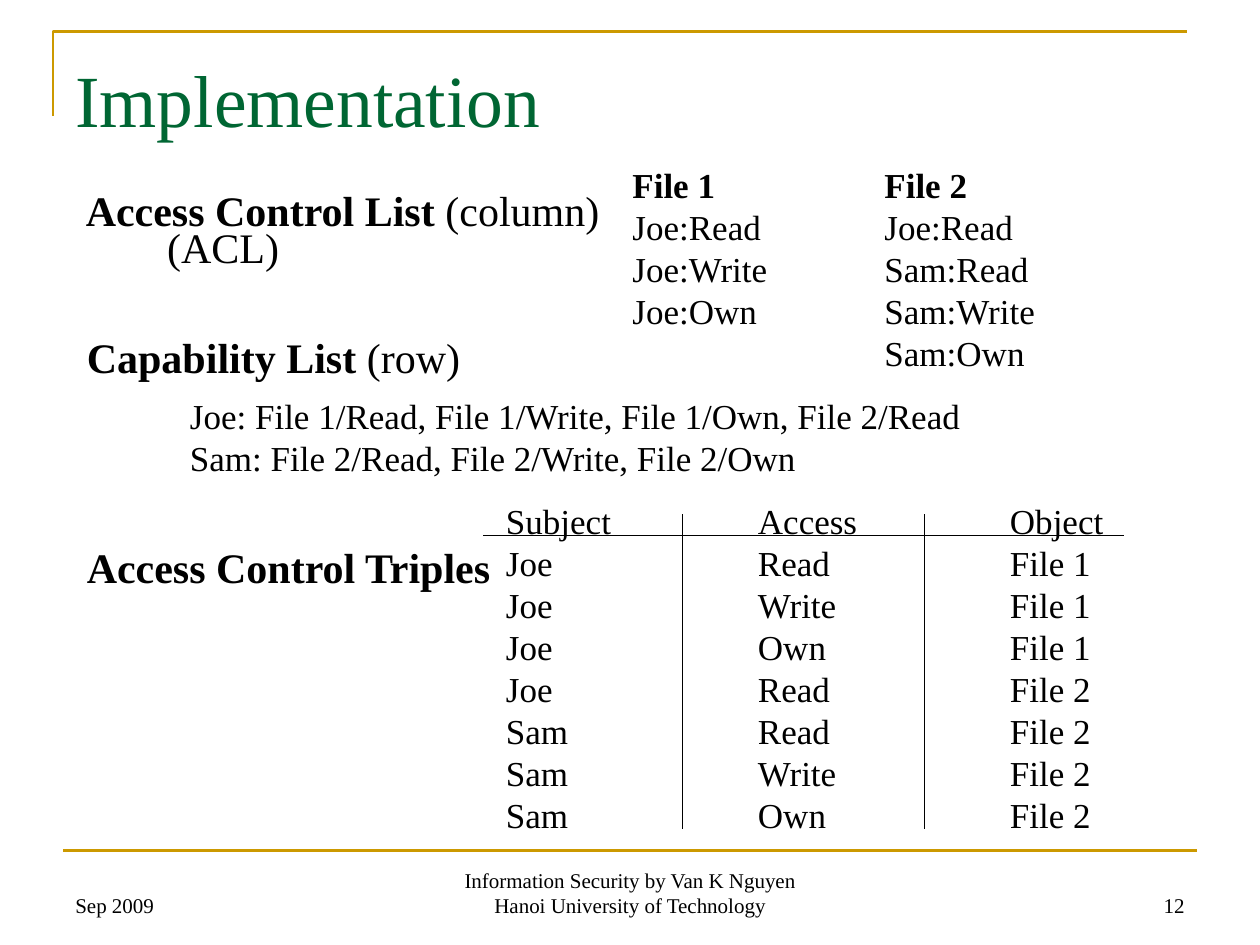
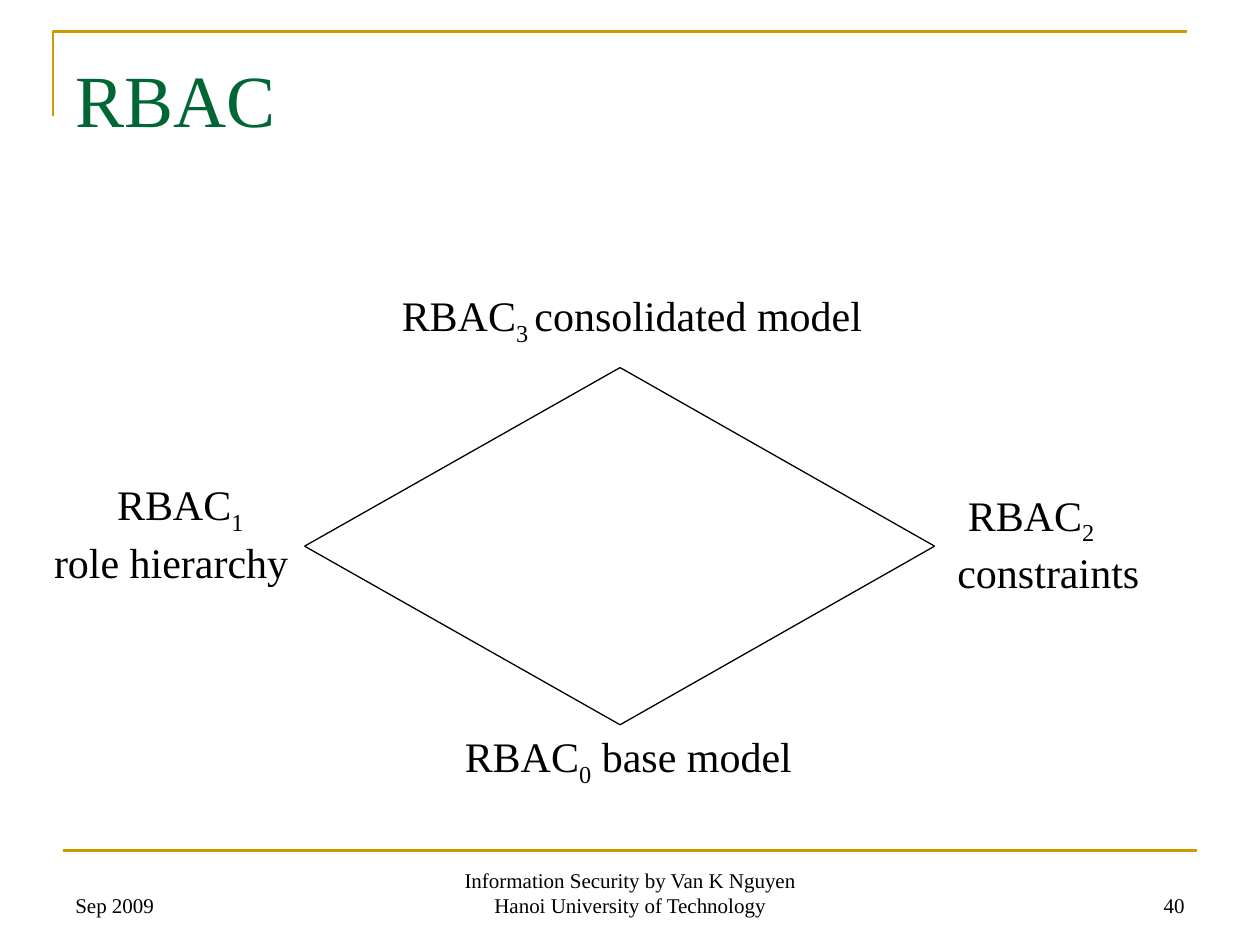
import pptx
import pptx.dml.color
import pptx.enum.shapes
import pptx.enum.text
import pptx.util
from lxml import etree
from pptx.oxml.ns import qn

Cm = pptx.util.Cm
Align = pptx.enum.text.PP_ALIGN
Anchor = pptx.enum.text.MSO_ANCHOR

GREEN = pptx.dml.color.RGBColor(0x00, 0x66, 0x33)
GOLD = pptx.dml.color.RGBColor(0xCC, 0x99, 0x00)
BLACK = pptx.dml.color.RGBColor(0x00, 0x00, 0x00)
FONT = "Times New Roman"
COLUMN_STEP = 5.08
SUBSCRIPT = "-25000"

FILE_ACLS = [
    ("File 1", "File 2"),
    ("Joe:Read", "Joe:Read"),
    ("Joe:Write", "Sam:Read"),
    ("Joe:Own", "Sam:Write"),
    ("", "Sam:Own"),
]
CAPABILITIES = [
    "Joe: File 1/Read, File 1/Write, File 1/Own, File 2/Read",
    "Sam: File 2/Read, File 2/Write, File 2/Own",
]
TRIPLES = [
    ("Subject", "Access", "Object"),
    ("Joe", "Read", "File 1"),
    ("Joe", "Write", "File 1"),
    ("Joe", "Own", "File 1"),
    ("Joe", "Read", "File 2"),
    ("Sam", "Read", "File 2"),
    ("Sam", "Write", "File 2"),
    ("Sam", "Own", "File 2"),
]


def add_frame(slide, left, top, width, height, anchor=Anchor.TOP):
    """Add a wrapping text box and return its text frame."""
    box = slide.shapes.add_textbox(Cm(left), Cm(top), Cm(width), Cm(height))
    frame = box.text_frame
    frame.word_wrap = True
    frame.vertical_anchor = anchor
    return frame


def next_paragraph(frame):
    """Return the unused first paragraph, or a new one."""
    first = frame.paragraphs[0]
    return frame.add_paragraph() if first.runs else first


def style(paragraph, size, color=BLACK, bold=False):
    """Set the font shared by all runs of a paragraph."""
    font = paragraph.font
    font.name, font.size, font.bold = FONT, pptx.util.Pt(size), bold
    font.color.rgb = color


def add_line_of_text(frame, text, size, color=BLACK, bold=False, align=Align.LEFT):
    """Add one uniformly styled paragraph to a frame."""
    paragraph = next_paragraph(frame)
    paragraph.add_run().text = text
    paragraph.alignment = align
    style(paragraph, size, color, bold)


def add_heading(slide, left, top, width, term, remark=""):
    """Add a bold term with an optional plain remark."""
    paragraph = add_frame(slide, left, top, width, 1.27).paragraphs[0]
    style(paragraph, 24)
    for text, bold in ((term, True), (remark, False)):
        if text:
            run = paragraph.add_run()
            run.text = text
            run.font.bold = bold


def add_columns(slide, left, top, width, height, rows, bold_header=False):
    """Add rows of text whose columns sit on equally spaced tab stops."""
    frame = add_frame(slide, left, top, width, height)
    for index, row in enumerate(rows):
        paragraph = next_paragraph(frame)
        paragraph.add_run().text = "\t".join(row)
        stops = etree.SubElement(paragraph._p.get_or_add_pPr(), qn("a:tabLst"))
        for column in range(1, len(row)):
            etree.SubElement(stops, qn("a:tab"), pos=str(Cm(COLUMN_STEP * column)), algn="l")
        style(paragraph, 20, bold=bold_header and index == 0)


def add_model(slide, left, top, width, height, level, remark, below=False, indent=0):
    """Label an RBAC level, with its remark beside or below the name."""
    frame = add_frame(slide, left, top, width, height)
    name = frame.paragraphs[0]
    name.add_run().text = "RBAC"
    subscript = name.add_run()
    subscript.text = level
    subscript.font._element.set("baseline", SUBSCRIPT)
    if indent:
        name._p.get_or_add_pPr().set("marL", str(Cm(indent)))
    style(name, 24)
    if below:
        add_line_of_text(frame, remark, 24)
    else:
        name.add_run().text = remark


def add_line(slide, start, end, color=BLACK, weight=0.75):
    """Draw a straight line between two points."""
    line = slide.shapes.add_connector(
        pptx.enum.shapes.MSO_CONNECTOR.STRAIGHT, *map(Cm, start + end))
    line.line.color.rgb = color
    line.line.width = pptx.util.Pt(weight)
    etree.SubElement(line._element.spPr, qn("a:effectLst"))


def add_corner_rule(slide):
    """Draw the gold rule that turns the top left corner."""
    builder = slide.shapes.build_freeform(Cm(1.07), Cm(2.33))
    builder.add_line_segments(
        [(Cm(1.07), Cm(0.64)), (Cm(23.93), Cm(0.64))], close=False)
    rule = builder.convert_to_shape()
    rule.shadow.inherit = False
    rule.fill.background()
    rule.line.color.rgb = GOLD
    rule.line.width = pptx.util.Pt(1.5)


def add_base_slide(deck, title, number):
    """Add a slide with the shared rules, title and footers."""
    slide = deck.slides.add_slide(deck.slide_layouts[6])
    add_corner_rule(slide)
    add_line(slide, (1.27, 17.15), (24.13, 17.15), GOLD, 1.5)
    footers = [
        (1.27, 5.93, "Sep 2009", Align.LEFT),
        (8.68, 8.05, "Information Security by Van K Nguyen Hanoi University of Technology",
         Align.CENTER),
        (18.2, 5.93, number, Align.RIGHT),
    ]
    for left, width, text, align in footers:
        frame = add_frame(slide, left, 17.36, width, 1.27, Anchor.BOTTOM)
        add_line_of_text(frame, text, 12, align=align)
    heading = add_frame(slide, 1.27, 0.76, 22.86, 3.18)
    heading.margin_top = Cm(0.32)
    add_line_of_text(heading, title, 42, GREEN)
    return slide


def build_implementation(deck):
    """Build the slide on access control lists, capabilities and triples."""
    slide = add_base_slide(deck, "Implementation", "12")
    add_heading(slide, 1.48, 3.6, 11.1, "Access Control List", " (column)")
    add_columns(slide, 12.5, 3.18, 8.8, 4.5, FILE_ACLS, bold_header=True)
    add_heading(slide, 1.5, 6.56, 8.3, "Capability List", " (row)")
    capabilities = add_frame(slide, 3.58, 7.83, 16.3, 1.96)
    for capability in CAPABILITIES:
        add_line_of_text(capabilities, capability, 20)
    add_heading(slide, 1.5, 10.8, 9, "Access Control Triples")
    add_columns(slide, 9.95, 9.95, 12.8, 7.04, TRIPLES)
    add_line(slide, (9.74, 10.8), (22.66, 10.8))
    for divider in (13.76, 18.63):
        add_line(slide, (divider, 10.37), (divider, 16.72))
    add_line_of_text(add_frame(slide, 3.12, 4.34, 2.9, 1.27), "(ACL)", 24)


def build_rbac(deck):
    """Build the slide on the family of RBAC models."""
    slide = add_base_slide(deck, "RBAC", "40")
    corners = [(12.5, 7.41), (18.84, 11.01), (12.5, 14.61), (6.14, 11.01)]
    for start, end in zip(corners, corners[1:] + corners[:1]):
        add_line(slide, start, end)
    add_model(slide, 7.85, 5.72, 10, 1.42, "3 ", "consolidated model")
    add_model(slide, 0.84, 9.53, 5.4, 2.44, "1", "role hierarchy", below=True, indent=1.27)
    add_model(slide, 19.05, 9.74, 4.4, 2.44, "2", "constraints", below=True, indent=0.21)
    add_model(slide, 9.12, 14.61, 7.3, 1.42, "0", " base model")


def main():
    """Build both slides and save the deck."""
    deck = pptx.Presentation()
    deck.slide_width, deck.slide_height = Cm(25.4), Cm(19.05)
    build_implementation(deck)
    build_rbac(deck)
    deck.save("out.pptx")


if __name__ == "__main__":
    main()
